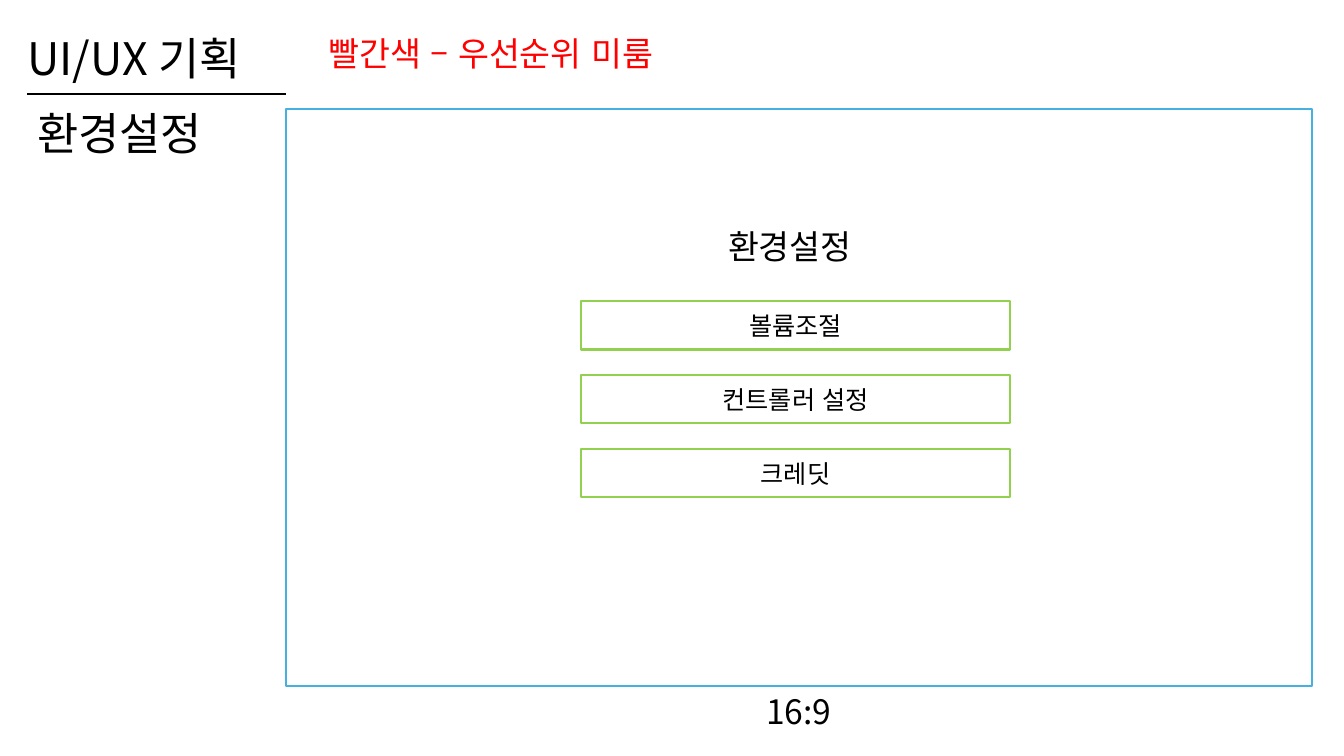
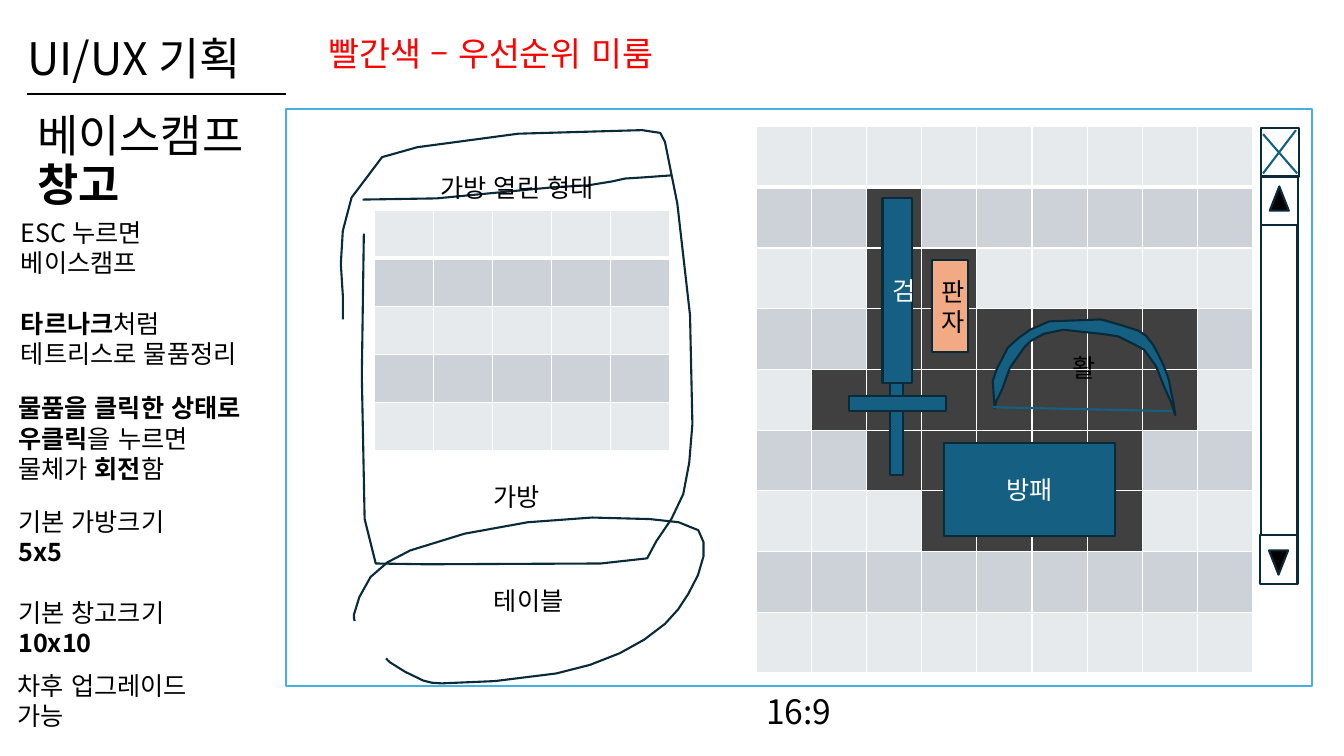
from dataclasses import dataclass
from math import sqrt
from typing import Iterator, Optional

from lxml import etree
from pptx import Presentation
from pptx.dml.color import RGBColor
from pptx.enum import lang, shapes, text
from pptx.oxml import ns
from pptx.util import Cm, Pt

# Shared look
FONT = "Noto Sans CJK KR"
BLACK, WHITE, RED = "000000", "FFFFFF", "FF0000"
INK, TEAL, SKY, GREEN, PEACH = "092A39", "156082", "46B1E1", "92D050", "F2AA84"
PLAIN_ROW, BAND, OCCUPIED = "E7EAED", "CCD2D8", "404040"
LINE_WIDTH = 1.5
BODY, LABEL, TITLE = 18, 24, 32
LEFT, CENTER = text.PP_ALIGN.LEFT, text.PP_ALIGN.CENTER
TOP, MIDDLE, BOTTOM = text.MSO_ANCHOR.TOP, text.MSO_ANCHOR.MIDDLE, text.MSO_ANCHOR.BOTTOM
RECTANGLE = shapes.MSO_SHAPE.RECTANGLE
TRIANGLE = shapes.MSO_SHAPE.ISOSCELES_TRIANGLE


@dataclass
class Area:
    """Position and size in centimetres."""
    left: float
    top: float
    width: float
    height: float

    def lengths(self) -> tuple:
        return Cm(self.left), Cm(self.top), Cm(self.width), Cm(self.height)


@dataclass
class Part:
    area: Area
    fill: str
    lines: tuple = ()
    color: str = WHITE
    outline: str = INK
    kind: int = RECTANGLE
    rotation: int = 0


@dataclass
class Note:
    area: Area
    lines: tuple
    gap_before: Optional[int] = None


@dataclass
class Grid:
    area: Area
    count: int
    occupied: dict


@dataclass
class Sketch:
    knots: tuple
    label: str
    fill: Optional[str] = None
    anchor: int = MIDDLE
    bottom_margin: float = 0.13
    steps: int = 2


# Drawing functions
def rgb(color: str) -> RGBColor:
    return RGBColor.from_string(color)


def write(shape, lines: tuple, size: int, color: str = BLACK, align=LEFT,
          anchor=MIDDLE, spacing: float = 1.0) -> None:
    """Write one paragraph per line; asterisks mark bold, \\v breaks a line."""
    frame = shape.text_frame
    frame.word_wrap = True
    frame.vertical_anchor = anchor
    for number, line in enumerate(lines):
        para = frame.add_paragraph() if number else frame.paragraphs[0]
        para.alignment = align
        para.line_spacing = spacing
        pieces = line.split("*")
        para.text = pieces[0]
        for index, piece in enumerate(pieces[1:], start=1):
            for row, words in enumerate(piece.split("\v")):
                if row:
                    para.add_line_break()
                if words:
                    span = para.add_run()
                    span.text = words
                    span.font.bold = index % 2 == 1
        for span in para.runs:
            span.font.name = FONT
            span.font.size = Pt(size)
            span.font.language_id = lang.MSO_LANGUAGE_ID.KOREAN
            span.font.color.rgb = rgb(color)
            etree.SubElement(span.font._element, ns.qn("a:ea"), typeface=FONT)


def add_text(page, area: Area, lines: tuple, size: int, **style):
    box = page.shapes.add_textbox(*area.lengths())
    write(box, lines, size, **style)
    return box


def paint(shape, fill: Optional[str], outline: str) -> None:
    shape.shadow.inherit = False
    if fill:
        shape.fill.solid()
        shape.fill.fore_color.rgb = rgb(fill)
    else:
        shape.fill.background()
    shape.line.color.rgb = rgb(outline)
    shape.line.width = Pt(LINE_WIDTH)


def add_part(page, part: Part) -> None:
    shape = page.shapes.add_shape(part.kind, *part.area.lengths())
    shape.rotation = part.rotation
    paint(shape, part.fill, part.outline)
    write(shape, part.lines, BODY, part.color, CENTER)


def add_line(page, start: tuple, end: tuple, color: str) -> None:
    ends = [Cm(value) for value in (*start, *end)]
    line = page.shapes.add_connector(shapes.MSO_CONNECTOR.STRAIGHT, *ends)
    line.line.color.rgb = rgb(color)
    line.line.width = Pt(LINE_WIDTH)
    etree.SubElement(line._element.spPr, ns.qn("a:effectLst"))


def smooth(knots: tuple, steps: int) -> Iterator[tuple]:
    """Points of a centripetal curve through the knots, after the first."""
    dots = [complex(*knot) for knot in knots]
    dots = [2 * dots[0] - dots[1], *dots, 2 * dots[-1] - dots[-2]]
    for a, b, c, d in zip(dots, dots[1:], dots[2:], dots[3:]):
        u, v, w = sqrt(abs(b - a)), sqrt(abs(c - b)), sqrt(abs(d - c))
        leave = v * ((b - a) / u - (c - a) / (u + v)) + c - b
        arrive = c - b + v * ((d - c) / w - (d - b) / (v + w))
        for step in range(1, steps + 1):
            t = step / steps
            dot = (b + leave * t * (1 - t) ** 2 + arrive * t * t * (t - 1)
                   + (c - b) * t * t * (3 - 2 * t))
            yield Cm(dot.real), Cm(dot.imag)


def add_sketch(page, sketch: Sketch) -> None:
    x, y = sketch.knots[0]
    builder = page.shapes.build_freeform(Cm(x), Cm(y))
    builder.add_line_segments(list(smooth(sketch.knots, sketch.steps)),
                              close=bool(sketch.fill))
    shape = builder.convert_to_shape()
    paint(shape, sketch.fill, INK)
    write(shape, (sketch.label,), BODY, BLACK, CENTER, sketch.anchor)
    shape.text_frame.margin_bottom = Cm(sketch.bottom_margin)


def add_border(cell, side: str, points: int) -> None:
    border = etree.SubElement(cell._tc.get_or_add_tcPr(), ns.qn(f"a:ln{side}"),
                              w=str(Pt(points)))
    fill = etree.SubElement(border, ns.qn("a:solidFill"))
    etree.SubElement(fill, ns.qn("a:srgbClr"), val=WHITE)


def add_grid(page, grid: Grid) -> None:
    count = grid.count
    table = page.shapes.add_table(count, count, *grid.area.lengths()).table
    for column in table.columns:
        column.width = Cm(grid.area.width / count)
    for number, row in enumerate(table.rows):
        row.height = Cm(grid.area.height / count)
        shade = BAND if number % 2 else PLAIN_ROW
        taken = grid.occupied.get(number, ())
        for column, cell in enumerate(row.cells):
            add_border(cell, "L", 1)
            add_border(cell, "R", 1)
            add_border(cell, "T", 3 if number == 1 else 1)
            add_border(cell, "B", 3 if number == 0 else 1)
            cell.fill.solid()
            cell.fill.fore_color.rgb = rgb(OCCUPIED if column in taken else shade)


def add_page(deck, title: str, title_margin: float = 0.13):
    """A page with the heading, title, screen frame and priority note."""
    page = deck.slides.add_slide(deck.slide_layouts[6])
    add_text(page, Area(0.44, 0.33, 29.21, 2.44), ("UI/UX 기획",), TITLE, spacing=0.9)
    add_line(page, (0.69, 2.36), (7.2, 2.36), BLACK)
    box = add_text(page, Area(0.69, 2.36, 6.3, 3.48), (title,), TITLE, spacing=0.9)
    box.text_frame.margin_bottom = Cm(title_margin)
    frame = page.shapes.add_shape(RECTANGLE, *Area(7.2, 2.74, 25.86, 14.55).lengths())
    paint(frame, None, SKY)
    add_text(page, Area(19.06, 16.97, 3.18, 2.03), ("16:9",), LABEL, spacing=0.9)
    add_text(page, Area(8.03, 0.38, 10.97, 2.03), ("빨간색 – 우선순위 미룸",), LABEL,
             color=RED, spacing=0.9)
    return page


# Settings page
BUTTONS = ("볼륨조절", "컨트롤러 설정", "크레딧")


def build_settings(deck) -> None:
    page = add_page(deck, "환경설정", 1.49)
    add_text(page, Area(18.1, 5.44, 4.14, 1.65), ("환경설정",), LABEL, spacing=0.9)
    for number, label in enumerate(BUTTONS):
        area = Area(14.64, 7.59 + 1.86 * number, 10.82, 1.22)
        add_part(page, Part(area, WHITE, (label,), BLACK, GREEN))


# Storage page
STORAGE = Grid(Area(19.05, 3.19, 12.52, 13.77), 9, {
    1: range(2, 3), 2: range(2, 4), 3: range(2, 8),
    4: range(1, 8), 5: range(2, 7), 6: range(3, 7)})
BAG_SLOTS = Grid(Area(9.44, 5.29, 7.44, 6.07), 5, {})

SCROLL_BAR = (
    Part(Area(31.78, 4.45, 0.94, 1.22), WHITE),
    Part(Area(31.76, 13.49, 0.94, 1.22), WHITE),
    Part(Area(32, 4.7, 0.48, 0.61), BLACK, kind=TRIANGLE),
    Part(Area(31.98, 13.87, 0.48, 0.61), BLACK, kind=TRIANGLE, rotation=180),
    Part(Area(31.78, 5.66, 0.92, 7.82), WHITE),
    Part(Area(31.79, 3.23, 0.94, 1.22), WHITE),
)
ITEMS = (
    Part(Area(22.43, 9.59, 0.33, 2.39), TEAL),
    Part(Area(21.39, 9.98, 2.46, 0.38), TEAL),
    Part(Area(22.24, 5, 0.74, 4.65), TEAL, ("검",)),
    Part(Area(23.49, 6.56, 0.91, 2.31), PEACH, ("판", "자"), BLACK),
    Part(Area(23.79, 11.17, 4.32, 2.34), TEAL, ("방패",)),
)
TEAL_LINES = (
    ((32.66, 3.28), (31.83, 4.37)),
    ((32.69, 4.37), (31.83, 3.38)),
    ((25.02, 10.26), (29.54, 10.36)),
)
NOTES = (
    Note(Area(0.28, 5.35, 6.55, 4.11),
         ("ESC 누르면", "베이스캠프", "*타르나크*처럼\v테트리스로 물품정리"), 2),
    Note(Area(0.21, 9.77, 6.88, 2.57),
         ("*물품을 클릭한 상태로*", "*우클릭*을 누르면", "물체가 *회전*함")),
    Note(Area(0.21, 12.64, 4.83, 4.11),
         ("기본 가방크기", "*5x5*", "기본 창고크기", "*10x10*"), 2),
    Note(Area(0.2, 16.76, 5.51, 1.8), ("차후 업그레이드 가능",)),
)
BOW = Sketch((
    (25.07, 10.29), (25.1, 10.13), (25.26, 9.8), (25.45, 9.27), (25.81, 8.76),
    (25.98, 8.59), (26.31, 8.41), (26.8, 8.31), (27.89, 8.43), (28.19, 8.48),
    (28.55, 8.66), (28.83, 8.81), (29.13, 9.22), (29.21, 9.42), (29.34, 9.75),
    (29.51, 10.13), (29.62, 10.46), (29.57, 10.13), (29.51, 9.86), (29.46, 9.58),
    (29.34, 9.25), (29.21, 8.97), (29.06, 8.69), (28.88, 8.46), (28.68, 8.33),
    (28.27, 8.2), (27.86, 8.08), (27.74, 8.05), (26.44, 8.1), (25.96, 8.31),
    (25.68, 8.51), (25.4, 8.76), (25.12, 9.3), (25.02, 9.6), (25.04, 9.91),
    (25.07, 10.29)), "활", TEAL, steps=1)
TABLE_TOP = Sketch((
    (8.94, 15.65), (8.92, 15.49), (9.34, 14.54), (10.34, 13.87), (13.3, 13.16),
    (16.38, 13.08), (17.6, 13.36), (17.73, 14.02), (17.35, 14.96), (16.76, 15.72),
    (15.62, 16.46), (14.02, 16.97), (11.13, 17.22), (10.67, 17.15), (9.83, 16.69),
    (9.73, 16.59)), "테이블")
BAG = Sketch((
    (9.17, 5.89), (9.12, 9.47), (9.19, 13.08), (9.42, 14), (9.47, 14.2),
    (10.74, 14.22), (15.14, 14.2), (16.31, 14.07), (16.54, 13.64), (16.92, 13.08),
    (17.22, 12.45), (17.37, 11.66), (17.45, 10.69), (17.39, 7.94), (17.07, 5.13),
    (16.76, 3.58), (16.64, 3.35), (16.18, 3.28), (13.06, 3.37), (10.52, 3.71),
    (9.63, 3.96), (8.86, 4.98), (8.64, 5.82), (8.59, 6.65), (8.64, 7.44),
    (8.64, 8.05)), "가방", anchor=BOTTOM, bottom_margin=1.33, steps=1)
BAG_FLAP = Sketch((
    (9.14, 5.03), (11, 5), (12.47, 4.86), (13.94, 4.72), (14.83, 4.67),
    (15.44, 4.57), (15.75, 4.5), (16.23, 4.47), (16.92, 4.42)), "가방 열린 형태", steps=1)


def build_storage(deck) -> None:
    page = add_page(deck, "베이스캠프\v*창고*")
    add_grid(page, STORAGE)
    for part in SCROLL_BAR + ITEMS:
        add_part(page, part)
    add_sketch(page, BOW)
    for start, end in TEAL_LINES:
        add_line(page, start, end, TEAL)
    for note in NOTES:
        box = add_text(page, note.area, note.lines, BODY, anchor=TOP)
        box.text_frame.auto_size = text.MSO_AUTO_SIZE.SHAPE_TO_FIT_TEXT
        if note.gap_before is not None:
            box.text_frame.paragraphs[note.gap_before].space_before = Pt(21.6)
    add_sketch(page, TABLE_TOP)
    add_sketch(page, BAG)
    add_grid(page, BAG_SLOTS)
    add_sketch(page, BAG_FLAP)


def main() -> None:
    deck = Presentation()
    deck.slide_width, deck.slide_height = Cm(33.87), Cm(19.05)
    build_settings(deck)
    build_storage(deck)
    deck.save("out.pptx")


if __name__ == "__main__":
    main()
